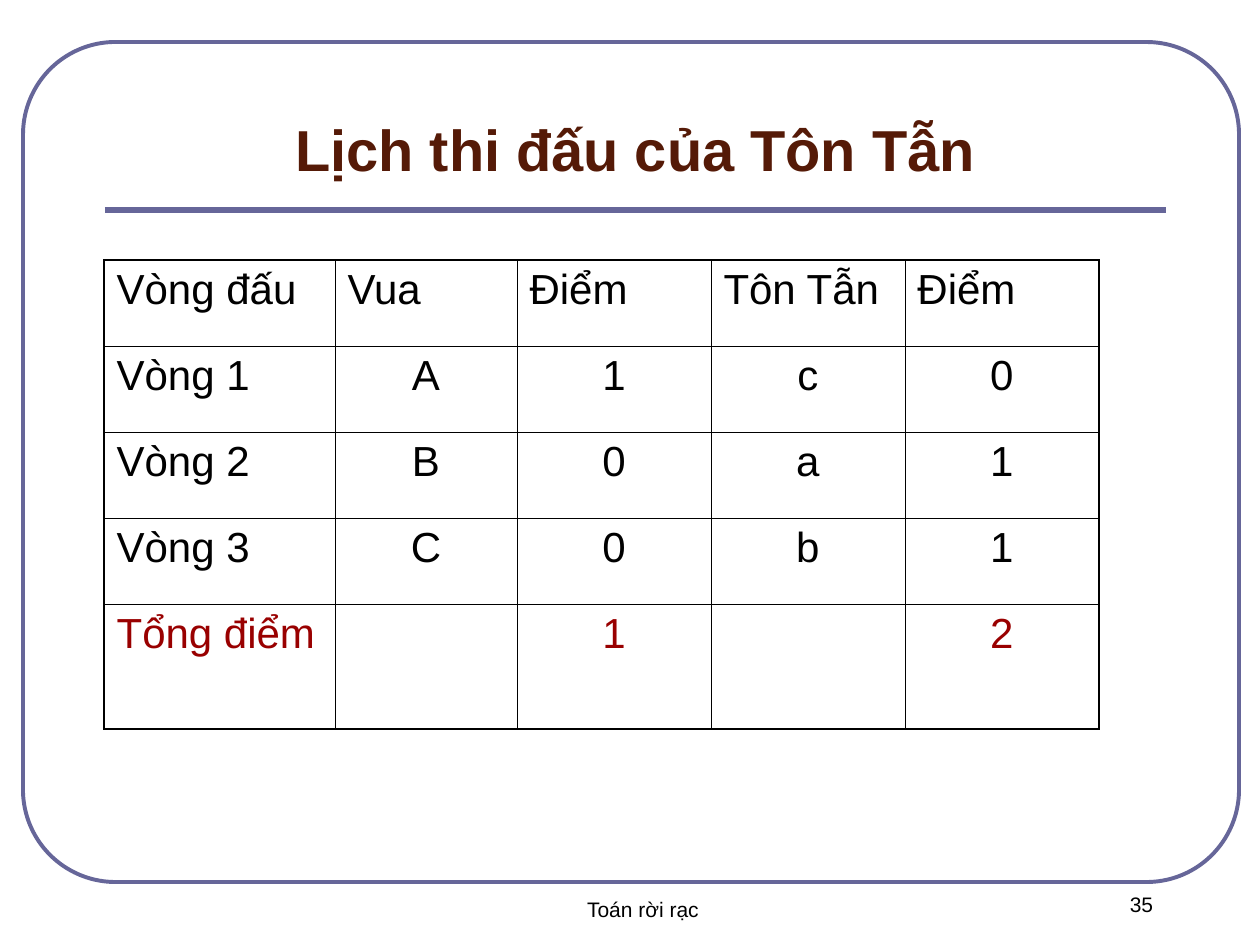
"""Build the match schedule slide with its score table."""
from lxml import etree
from pptx import Presentation
from pptx.dml.color import RGBColor
from pptx.enum.shapes import MSO_CONNECTOR, MSO_SHAPE
from pptx.enum.text import MSO_ANCHOR, PP_ALIGN
from pptx.oxml.ns import qn
from pptx.util import Emu, Pt

ROUNDED = MSO_SHAPE.ROUNDED_RECTANGLE
STRAIGHT = MSO_CONNECTOR.STRAIGHT
LEFT, CENTER = PP_ALIGN.LEFT, PP_ALIGN.CENTER
TOP, BOTTOM = MSO_ANCHOR.TOP, MSO_ANCHOR.BOTTOM

TITLE = "Lịch thi đấu của Tôn Tẫn"
FOOTER = "Toán rời rạc"
PAGE_NUMBER = "35"
SCHEDULE = [
    ("Vòng đấu", "Vua", "Điểm", "Tôn Tẫn", "Điểm"),
    ("Vòng 1", "A", "1", "c", "0"),
    ("Vòng 2", "B", "0", "a", "1"),
    ("Vòng 3", "C", "0", "b", "1"),
    ("Tổng điểm", "", "1", "", "2"),
]
COLUMN_WIDTHS = (231, 182, 194, 194, 194)
ROW_HEIGHTS = (86, 86, 86, 86, 125)
BLACK, ACCENT, TITLE_COLOR, TOTAL_COLOR = "000000", "666699", "551A07", "990000"
OUTER_BORDER, INNER_BORDER = 1.08, 0.45


def px(length):
    return Emu(round(length * 914400 / 126))


def color(value):
    return RGBColor.from_string(value)


def write(frame, text, size=12, fill=BLACK, bold=False, align=CENTER, before=0):
    paragraph = frame.paragraphs[0]
    paragraph.alignment = align
    paragraph.space_before = Pt(before)
    run = paragraph.add_run()
    run.text = text
    run.font.name = "Arial"
    run.font.size = Pt(size)
    run.font.bold = bold
    run.font.color.rgb = color(fill)


def add_label(slide, text, box, anchor=TOP, **text_format):
    frame = slide.shapes.add_textbox(*map(px, box)).text_frame
    frame.word_wrap = True
    frame.vertical_anchor = anchor
    write(frame, text, **text_format)


def set_border(cell, side, width):
    border = etree.SubElement(cell._tc.get_or_add_tcPr(), qn(f"a:ln{side}"), w=str(Pt(width)))
    fill = etree.SubElement(border, qn("a:solidFill"))
    etree.SubElement(fill, qn("a:srgbClr"), val=BLACK)


def add_frame(slide):
    frame = slide.shapes.add_shape(ROUNDED, px(23), px(42), px(1216), px(840))
    frame.adjustments[0] = 0.11
    frame.shadow.inherit = False
    frame.fill.background()
    frame.line.color.rgb = color(ACCENT)
    frame.line.width = Pt(2.25)

    rule = slide.shapes.add_connector(STRAIGHT, px(105), px(210), px(1166), px(210))
    rule.line.color.rgb = color(ACCENT)
    rule.line.width = Pt(3)
    etree.SubElement(rule._element.spPr, qn("a:effectLst"))


def add_schedule(slide):
    last_row, last_column = len(ROW_HEIGHTS) - 1, len(COLUMN_WIDTHS) - 1
    table = slide.shapes.add_table(
        len(ROW_HEIGHTS), len(COLUMN_WIDTHS), px(104), px(260),
        px(sum(COLUMN_WIDTHS)), px(sum(ROW_HEIGHTS))).table
    table.first_row = table.horz_banding = False
    for column, width in zip(table.columns, COLUMN_WIDTHS):
        column.width = px(width)
    for row, height in zip(table.rows, ROW_HEIGHTS):
        row.height = px(height)

    for r, entries in enumerate(SCHEDULE):
        for c, entry in enumerate(entries):
            cell = table.cell(r, c)
            on_edge = {"L": c == 0, "R": c == last_column, "T": r == 0, "B": r == last_row}
            for side, outer in on_edge.items():
                set_border(cell, side, OUTER_BORDER if outer else INNER_BORDER)
            cell.fill.background()
            if entry:
                write(cell.text_frame, entry, size=24, before=6,
                      fill=TOTAL_COLOR if r == last_row else BLACK,
                      align=LEFT if r == 0 or c == 0 else CENTER)


def main():
    presentation = Presentation()
    presentation.slide_width, presentation.slide_height = px(1260), px(945)
    slide = presentation.slides.add_slide(presentation.slide_layouts[6])
    add_frame(slide)
    add_label(slide, PAGE_NUMBER, (1062, 885, 159, 63))
    add_label(slide, FOOTER, (330, 890, 626, 63))
    add_label(slide, TITLE, (105, 53, 1061, 136), anchor=BOTTOM,
              size=33, fill=TITLE_COLOR, bold=True)
    add_schedule(slide)
    presentation.save("out.pptx")


if __name__ == "__main__":
    main()
